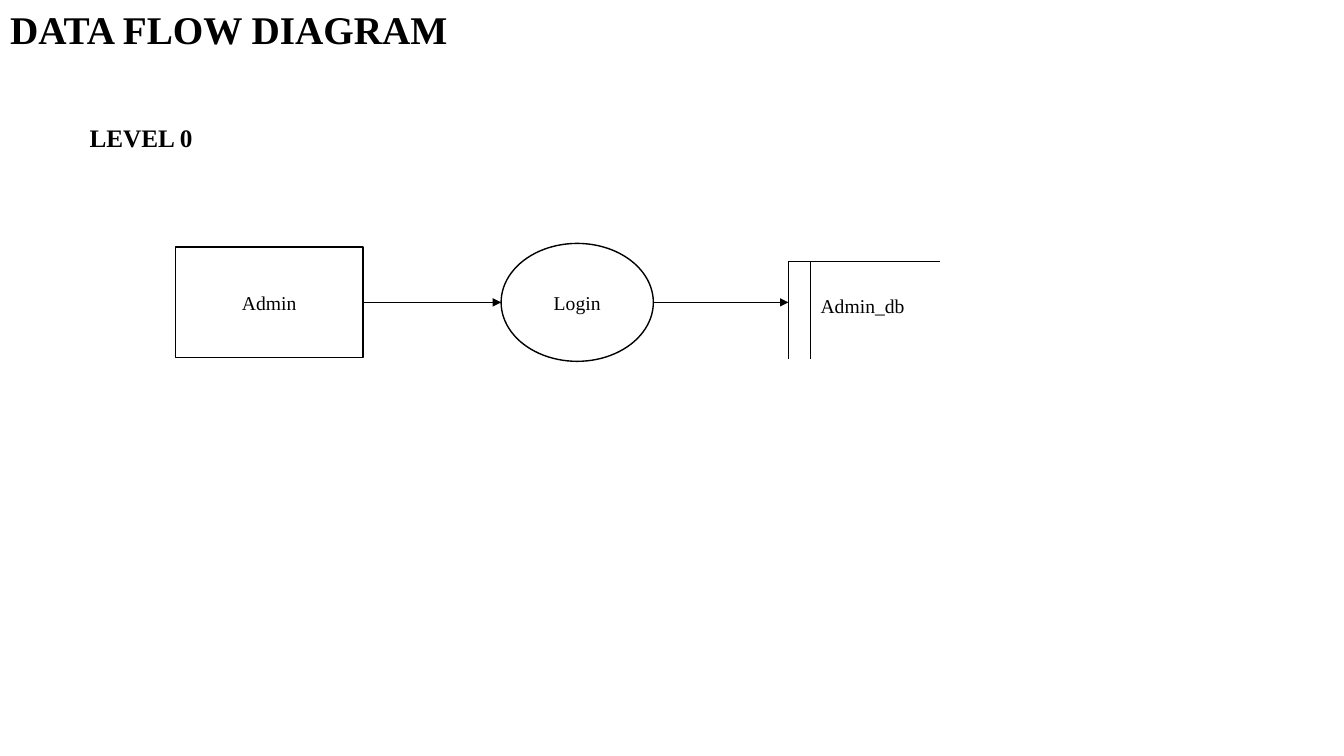
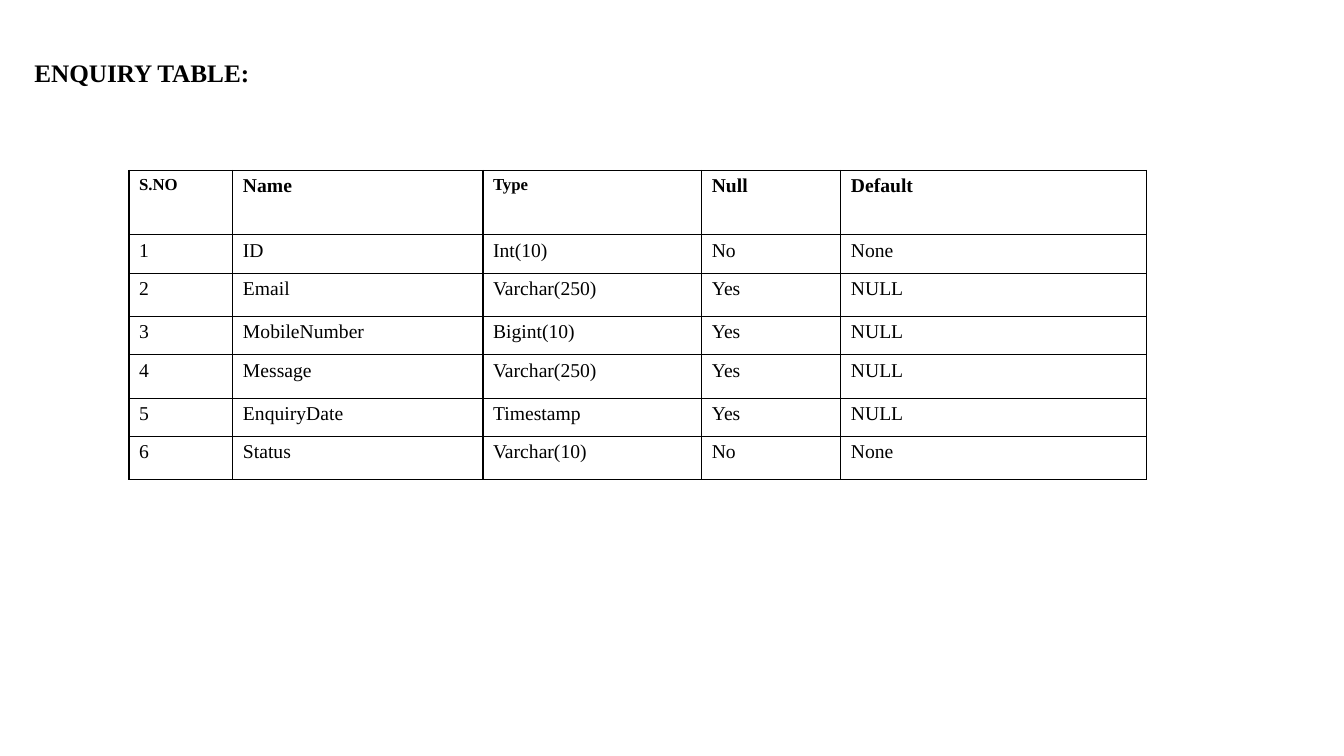
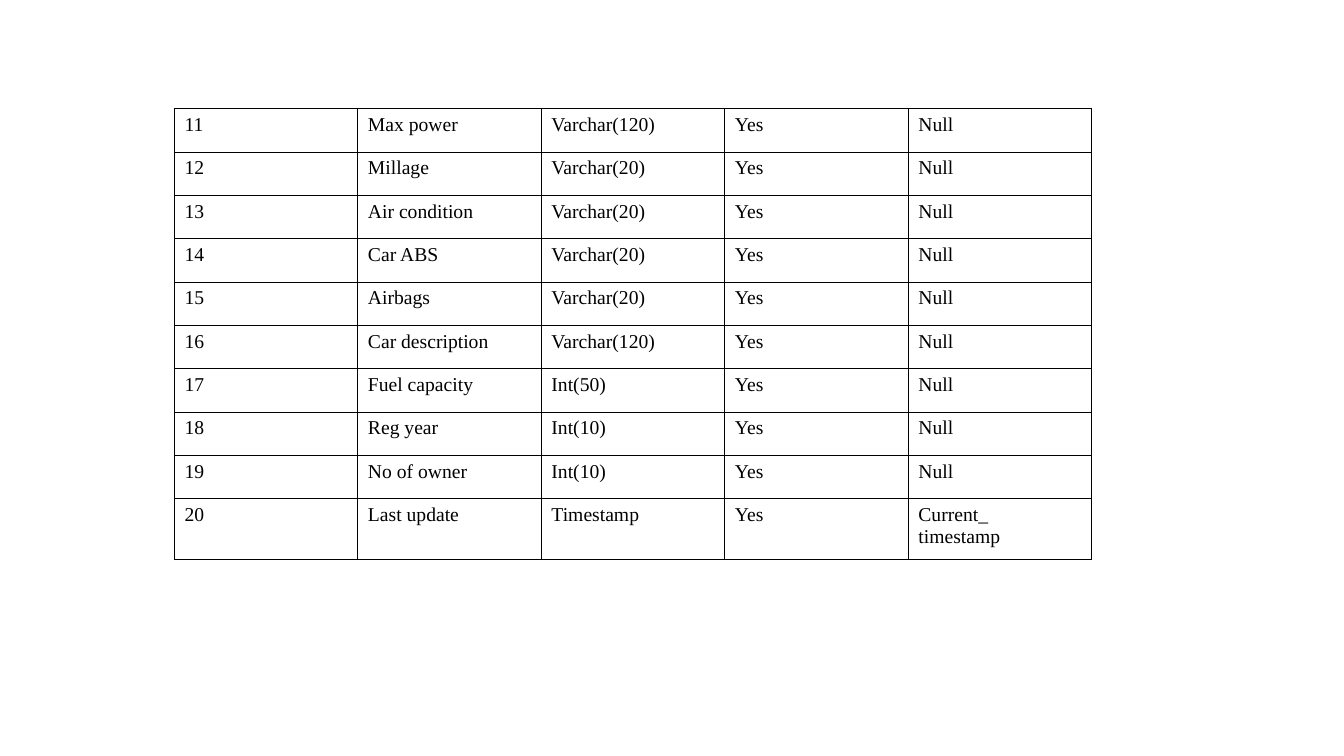
from dataclasses import dataclass

from lxml import etree
from pptx import Presentation
from pptx.dml.color import RGBColor
from pptx.enum.shapes import MSO_CONNECTOR, MSO_SHAPE
from pptx.enum.text import MSO_ANCHOR, MSO_AUTO_SIZE, PP_ALIGN
from pptx.oxml.ns import qn
from pptx.util import Inches, Pt

RECT, OVAL = MSO_SHAPE.RECTANGLE, MSO_SHAPE.OVAL
STRAIGHT = MSO_CONNECTOR.STRAIGHT
TOP, MIDDLE = MSO_ANCHOR.TOP, MSO_ANCHOR.MIDDLE
LEFT, CENTER = PP_ALIGN.LEFT, PP_ALIGN.CENTER
NO_FIT = MSO_AUTO_SIZE.NONE
TITLE_ONLY, BLANK = 5, 6


@dataclass(frozen=True)
class Theme:
    font: str = "Times New Roman"
    ink: str = "000000"
    paper: str = "FFFFFF"
    title: int = 28
    head: int = 18
    body: int = 14
    small: int = 12
    edge: float = 1
    thin: float = 0.5


THEME = Theme()
INK = RGBColor.from_string(THEME.ink)
PAPER = RGBColor.from_string(THEME.paper)


def write(frame, text, size=THEME.body, bold=False, align=LEFT):
    frame.text = text
    for para in frame.paragraphs:
        para.alignment = align
        for run in para.runs:
            font = run.font
            font.name, font.size, font.bold = THEME.font, Pt(size), bold
            font.color.rgb = INK


def place(box, text, size, bold):
    frame = box.text_frame
    frame.word_wrap = True
    frame.auto_size = NO_FIT
    frame.vertical_anchor = TOP
    write(frame, text, size, bold)


def add_title(slide, text, area, size):
    box = slide.shapes.title
    box.left, box.top, box.width, box.height = map(Inches, area)
    place(box, text, size, True)


def add_label(slide, text, area, size=THEME.body, bold=False):
    place(slide.shapes.add_textbox(*map(Inches, area)), text, size, bold)


def add_node(slide, kind, text, area):
    node = slide.shapes.add_shape(kind, *map(Inches, area))
    node.shadow.inherit = False
    node.fill.solid()
    node.fill.fore_color.rgb = PAPER
    node.line.color.rgb = INK
    node.line.width = Pt(THEME.edge)
    node.text_frame.vertical_anchor = MIDDLE
    write(node.text_frame, text, align=CENTER)


def add_line(slide, start, end, arrow=False):
    link = slide.shapes.add_connector(STRAIGHT, *map(Inches, start + end))
    link.line.color.rgb = INK
    link.line.width = Pt(THEME.thin)
    if arrow:
        etree.SubElement(link.line._get_or_add_ln(), qn("a:tailEnd"), type="triangle")
    etree.SubElement(link._element.spPr, qn("a:effectLst"))


def add_store(slide, text, left, top):
    bar, base = left + 0.22, top + 0.97
    add_line(slide, (left, top), (left + 1.5, top))
    for x in (left, bar):
        add_line(slide, (x, top), (x, base))
    add_label(slide, text, (bar, top + 0.28, 1.51, 0.34))


def frame_cell(cell):
    cell.fill.solid()
    cell.fill.fore_color.rgb = PAPER
    props = cell._tc.get_or_add_tcPr()
    for spot, side in enumerate(("lnL", "lnR", "lnT", "lnB")):
        line = etree.Element(qn("a:" + side), w=str(Pt(THEME.edge)))
        fill = etree.SubElement(line, qn("a:solidFill"))
        etree.SubElement(fill, qn("a:srgbClr"), val=THEME.ink)
        props.insert(spot, line)


def add_grid(slide, left, top, widths, heights, rows, heads=()):
    area = (left, top, sum(widths), sum(heights))
    grid = slide.shapes.add_table(len(rows), len(widths), *map(Inches, area)).table
    grid.first_row = bool(heads)
    grid.horz_banding = False
    for col, width in zip(grid.columns, widths):
        col.width = Inches(width)
    for row, height in zip(grid.rows, heights):
        row.height = Inches(height)
    for r, texts in enumerate(rows):
        for c, text in enumerate(texts):
            cell = grid.cell(r, c)
            head = bool(heads) and r == 0
            write(cell.text_frame, text, heads[c] if head else THEME.body, head)
            frame_cell(cell)


def flow_slide(deck):
    slide = deck.slides.add_slide(deck.slide_layouts[TITLE_ONLY])
    add_title(slide, "DATA FLOW DIAGRAM", (0, 0, 6.66, 0.57), THEME.title)
    add_label(slide, "LEVEL 0", (0.79, 1.16, 1.38, 0.71), THEME.head, True)
    mid, store = 3, 7.82
    nodes = [(RECT, "Admin", 1.74, 1.86, 1.1), (OVAL, "Login", 4.97, 1.51, 1.17)]
    add_store(slide, "Admin_db", store, 2.59)
    ends = [node[2] for node in nodes[1:]] + [store]
    for (kind, text, left, width, height), end in zip(nodes, ends):
        add_node(slide, kind, text, (left, mid - height / 2, width, height))
        add_line(slide, (left + width, mid), (end, mid), True)


def enquiry_slide(deck):
    slide = deck.slides.add_slide(deck.slide_layouts[TITLE_ONLY])
    add_title(slide, "ENQUIRY TABLE:", (0.24, 0.52, 3.68, 0.4), THEME.head)
    rows = [
        ("S.NO", "Name", "Type", "Null", "Default"),
        ("1", "ID", "Int(10)", "No", "None"),
        ("2", "Email", "Varchar(250)", "Yes", "NULL"),
        ("3", "MobileNumber", "Bigint(10)", "Yes", "NULL"),
        ("4", "Message", "Varchar(250)", "Yes", "NULL"),
        ("5", "EnquiryDate", "Timestamp", "Yes", "NULL"),
        ("6", "Status", "Varchar(10)", "No", "None"),
    ]
    heads = (THEME.small, THEME.body, THEME.small, THEME.body, THEME.body)
    widths = (1.03, 2.48, 2.17, 1.38, 3.03)
    add_grid(slide, 1.28, 1.69, widths, [0.64] + [0.38, 0.43] * 3, rows, heads)


def car_slide(deck):
    slide = deck.slides.add_slide(deck.slide_layouts[BLANK])
    fields = [
        ("Max power", "Varchar(120)"),
        ("Millage", "Varchar(20)"),
        ("Air condition", "Varchar(20)"),
        ("Car ABS", "Varchar(20)"),
        ("Airbags", "Varchar(20)"),
        ("Car description", "Varchar(120)"),
        ("Fuel capacity", "Int(50)"),
        ("Reg year", "Int(10)"),
        ("No of owner", "Int(10)"),
    ]
    rows = [(str(n), name, kind, "Yes", "Null")
            for n, (name, kind) in enumerate(fields, 11)]
    rows.append(("20", "Last update", "Timestamp", "Yes", "Current_\ntimestamp"))
    heights = [0.43] * len(fields) + [0.6]
    add_grid(slide, 1.73, 1.08, [1.82] * 5, heights, rows)


def main():
    deck = Presentation()
    deck.slide_width, deck.slide_height = Inches(13.33), Inches(7.5)
    flow_slide(deck)
    enquiry_slide(deck)
    car_slide(deck)
    deck.save("out.pptx")


if __name__ == "__main__":
    main()
